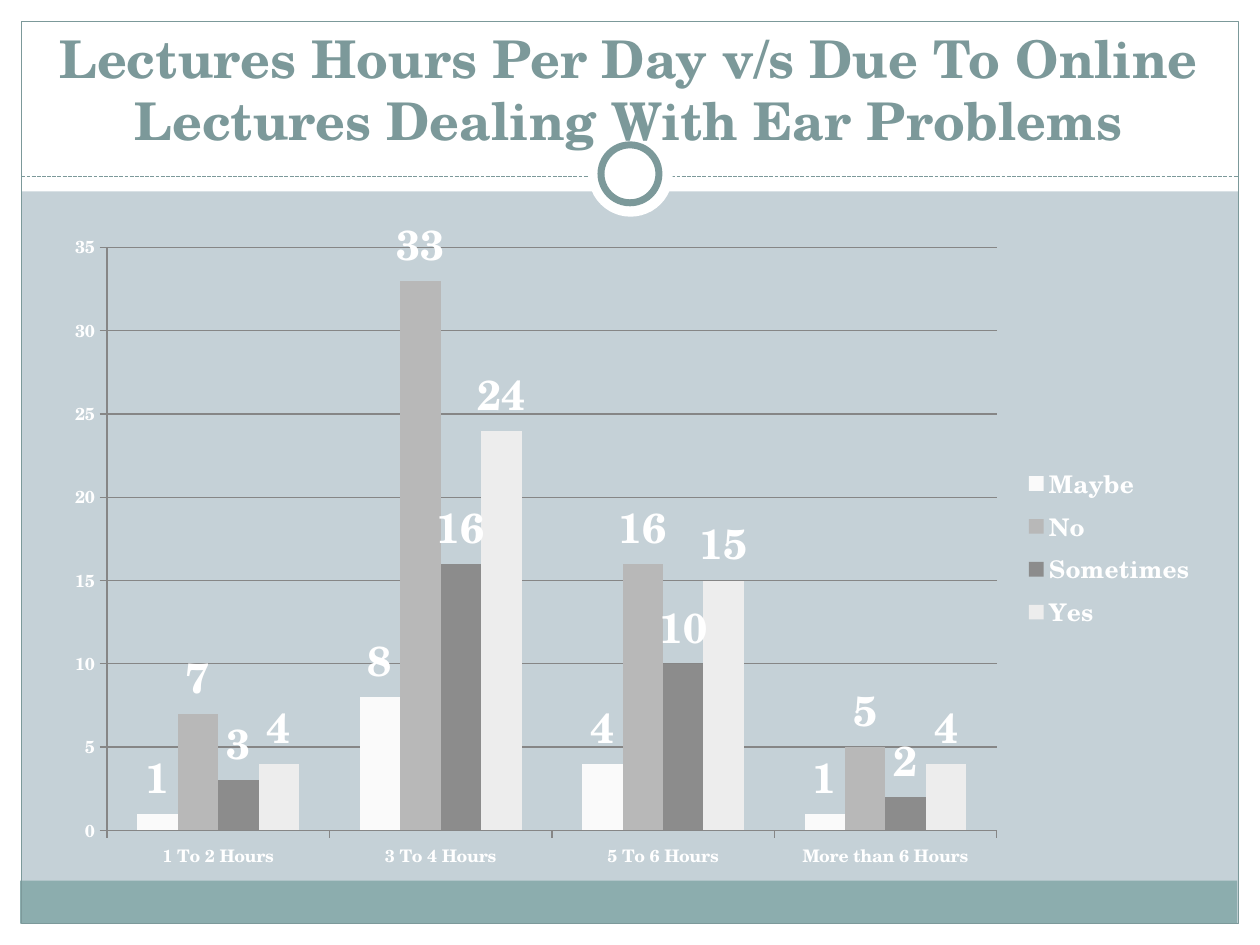
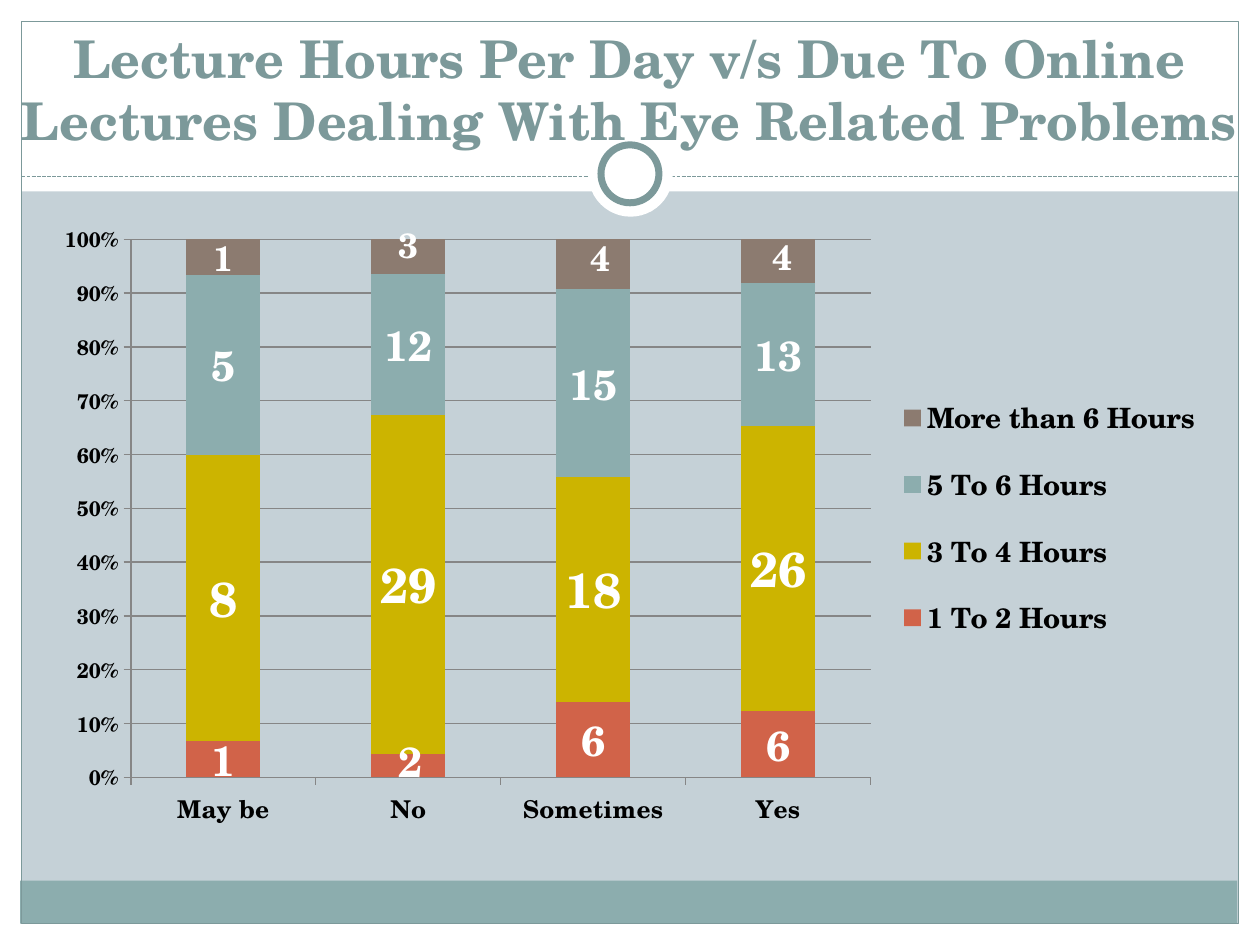
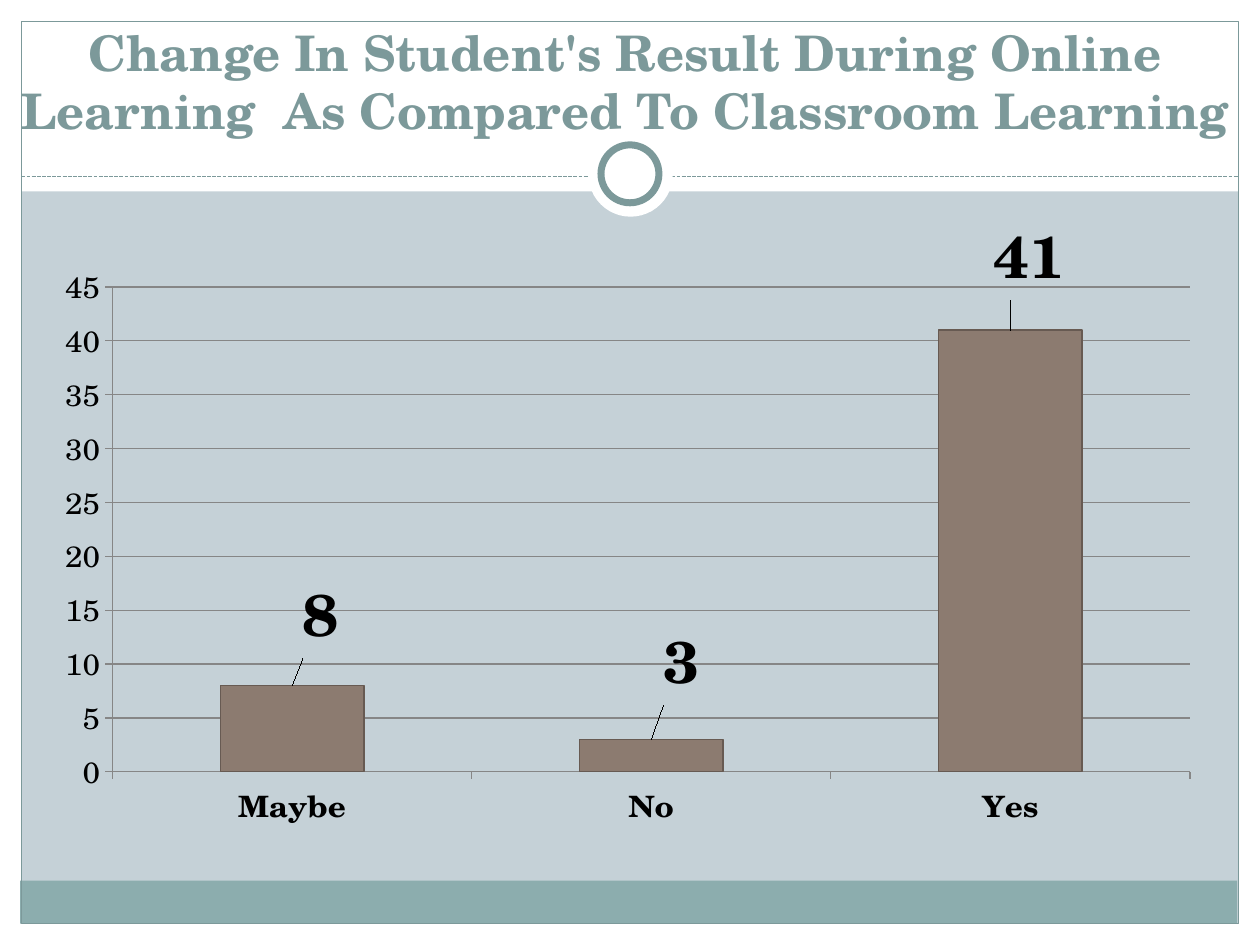
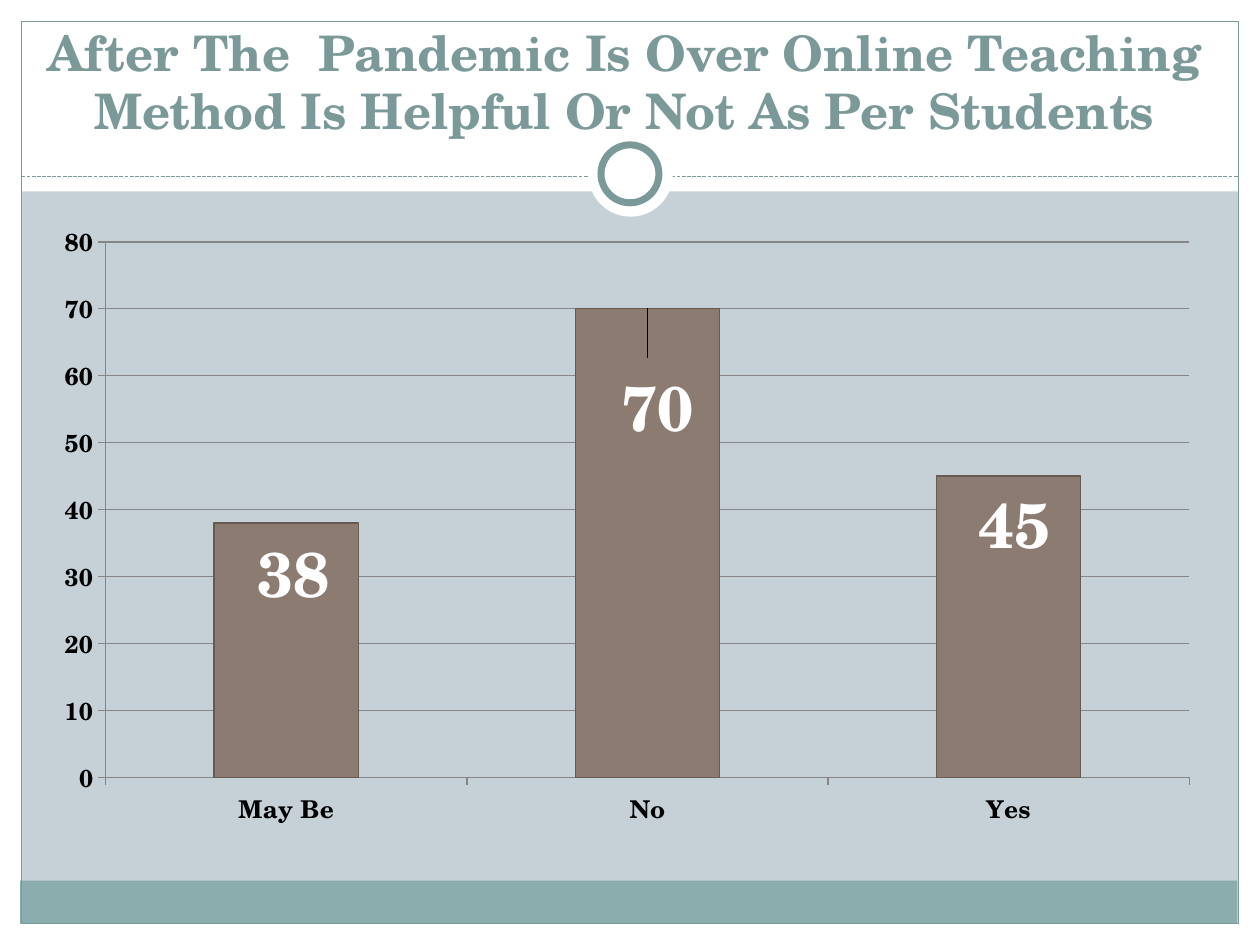
from lxml.etree import SubElement
from pptx import Presentation
from pptx.chart.data import CategoryChartData
from pptx.dml.color import RGBColor
from pptx.enum.chart import XL_CHART_TYPE, XL_LABEL_POSITION, XL_LEGEND_POSITION
from pptx.enum.chart import XL_TICK_MARK
from pptx.enum.dml import MSO_LINE
from pptx.enum.shapes import MSO_CONNECTOR, MSO_SHAPE
from pptx.enum.text import MSO_ANCHOR, MSO_AUTO_SIZE, PP_ALIGN
from pptx.oxml import parse_xml
from pptx.oxml.ns import nsdecls, qn
from pptx.util import Inches, Pt

# Shared style
FONT = "TeX Gyre Schola"
WHITE, BLACK, GRID = "FFFFFF", "000000", "868686"
BACK, DEEP, TEAL = "C5D1D7", "7C999A", "8CADAE"
RED, GOLD, BROWN, EDGE = "D16349", "CCB400", "8C7B70", "675A52"
OUT, MID = XL_LABEL_POSITION.OUTSIDE_END, XL_LABEL_POSITION.CENTER
WIDE = (0.33, 1.67, 9.3, 5)

# Frame parts: shape (None for a line), box, fill, line colour, line width
FRAME = [
    (MSO_SHAPE.RECTANGLE, (0, 7.33, 10, 0.17), WHITE, None, 0),
    (MSO_SHAPE.RECTANGLE, (0, 0, 10, 1.52), WHITE, None, 0),
    (MSO_SHAPE.RECTANGLE, (0, 0, 0.17, 7.5), WHITE, None, 0),
    (MSO_SHAPE.RECTANGLE, (9.83, 0, 0.17, 7.5), WHITE, None, 0),
    (MSO_SHAPE.RECTANGLE, (0.16, 6.99, 9.66, 0.34), TEAL, None, 0),
    (MSO_SHAPE.RECTANGLE, (0.17, 0.17, 9.66, 7.16), None, DEEP, 0.75),
    (None, (0.17, 1.4, 9.66, 0), None, DEEP, 0.75),
    (MSO_SHAPE.OVAL, (4.67, 1.05, 0.67, 0.67), WHITE, None, 0),
    (MSO_SHAPE.OVAL, (4.77, 1.15, 0.46, 0.46), WHITE, DEEP, 4),
]

# Slides. Axis text: size, bold. Series: name, values, fill, label size.
# "moves" maps (series, point) to a label shift in inches.
SLIDES = [
    dict(title="Lectures Hours Per Day v/s Due To Online Lectures "
               "Dealing With Ear Problems",
         head=(0.33, 0.42, 9.33, 0.83), size=29.7,
         kind=XL_CHART_TYPE.COLUMN_CLUSTERED,
         box=(0.42, 1.67, 9.17, 5.33), plot=(0.85, 1.94, 7.06, 4.65),
         ink=WHITE, tag=WHITE, spot=OUT, legend=14,
         cat=(10, True), val=(10, True), top=35, step=5,
         cats=["1 To 2 Hours", "3 To 4 Hours", "5 To 6 Hours",
               "More than 6 Hours"],
         series=[("Maybe", (1, 8, 4, 1), "FAFAFA", 24),
                 ("No", (7, 33, 16, 5), "B8B8B8", 24),
                 ("Sometimes", (3, 16, 10, 2), "8C8C8C", 24),
                 ("Yes", (4, 24, 15, 4), "EDEDED", 24)]),
    dict(title="Lecture Hours Per Day v/s Due To Online Lectures "
               "Dealing With Eye Related Problems",
         head=(0, 0.42, 10, 0.83), size=29.7,
         kind=XL_CHART_TYPE.COLUMN_STACKED_100,
         box=WIDE, plot=(1.04, 1.9, 5.87, 4.27),
         ink=BLACK, tag=WHITE, spot=MID, legend=16,
         key=(7.06, 2.96, 2.54, 2.3),
         cat=(14, True), val=(12, True), top=1, step=0.1, form="0%",
         cats=["May be", "No", "Sometimes", "Yes"],
         series=[("1 To 2 Hours", (1, 2, 6, 6), RED, 24),
                 ("3 To 4 Hours", (8, 29, 18, 26), GOLD, 28),
                 ("5 To 6 Hours", (5, 12, 15, 13), TEAL, 24),
                 ("More than 6 Hours", (1, 3, 4, 4), BROWN, 20)],
         moves={(0, 1): (0.02, -0.04), (3, 1): (0, -0.1),
                (3, 2): (0.06, -0.06), (3, 3): (0.04, -0.04)}),
    dict(title="Change In Student's Result During Online Learning  "
               "As Compared To Classroom Learning",
         head=(-0.25, 0.33, 10.42, 0.83), size=28,
         kind=XL_CHART_TYPE.COLUMN_CLUSTERED, box=WIDE,
         ink=BLACK, tag=BLACK, spot=OUT, edge=EDGE,
         cat=(18, True), val=(18, False), top=45, step=5,
         cats=["Maybe", "No", "Yes"],
         series=[("Series 1", (8, 3, 41), BROWN, 36)],
         moves={(0, 0): (0.23, -0.19), (0, 1): (0.24, -0.25),
                (0, 2): (0.15, -0.21)}),
    dict(title="After The  Pandemic Is Over Online Teaching Method "
               "Is Helpful Or Not As Per Students",
         head=(0, 0.33, 9.91, 0.83), size=28,
         kind=XL_CHART_TYPE.COLUMN_CLUSTERED,
         box=WIDE, plot=(0.84, 1.92, 8.6, 4.25),
         ink=BLACK, tag=WHITE, spot=OUT, edge=EDGE,
         cat=(14, True), val=(14, True), top=80, step=10,
         cats=["May Be", "No", "Yes"],
         series=[("Series 1", (38, 70, 45), BROWN, 36)],
         moves={(0, 0): (0.06, 0.82), (0, 1): (0.08, 1.2),
                (0, 2): (0.05, 0.8)}),
]


def paint(part, tone):
    """Give a fill a solid colour, or none."""
    if tone:
        part.solid()
        part.fore_color.rgb = RGBColor.from_string(tone)
    else:
        part.background()


def stroke(line, tone, width):
    paint(line.fill, tone)
    if tone:
        line.width = Pt(width)


def style(font, size, tone, bold=True):
    font.name, font.size, font.bold = FONT, Pt(size), bold
    font.color.rgb = RGBColor.from_string(tone)


def place(shape, box):
    shape.left, shape.top, shape.width, shape.height = map(Inches, box)


def set_frame(slide, layout):
    """Draw the frame and hand it to the layout, behind its text."""
    for at, (kind, box, fill, tone, width) in enumerate(FRAME):
        x, y, w, h = map(Inches, box)
        if kind is None:
            part = slide.shapes.add_connector(
                MSO_CONNECTOR.STRAIGHT, x, y, x + w, y + h)
            part.line.dash_style = MSO_LINE.SQUARE_DOT
            SubElement(part.element.spPr, qn("a:effectLst"))
        else:
            part = slide.shapes.add_shape(kind, x, y, w, h)
            part.shadow.inherit = False
            paint(part.fill, fill)
        stroke(part.line, tone, width)
        layout.shapes.element.insert(2 + at, part.element)


def set_title(slide, data):
    title = slide.shapes.title
    place(title, data["head"])
    text = title.text_frame
    text.word_wrap, text.auto_size = True, MSO_AUTO_SIZE.NONE
    text.vertical_anchor = MSO_ANCHOR.BOTTOM
    para = text.paragraphs[0]
    para.alignment = PP_ALIGN.CENTER
    run = para.add_run()
    run.text = data["title"]
    style(run.font, data["size"], DEEP)


def manual(inner):
    return parse_xml(f'<c:layout {nsdecls("c")}><c:manualLayout>{inner}'
                     '</c:manualLayout></c:layout>')


def set_area(owner, at, box, area, inner=""):
    """Fix a part of the chart at an area given in slide inches."""
    x, y, w, h = box
    left, top, wide, high = area
    parts = dict(x=(left - x) / w, y=(top - y) / h, w=wide / w, h=high / h)
    inner += '<c:xMode val="edge"/><c:yMode val="edge"/>'
    inner += "".join(f'<c:{k} val="{v:.4f}"/>' for k, v in parts.items())
    for old in owner.findall(qn("c:layout")):
        owner.remove(old)
    owner.insert(at, manual(inner))


def set_axes(chart, data):
    for axis, key in ((chart.category_axis, "cat"), (chart.value_axis, "val")):
        size, bold = data[key]
        style(axis.tick_labels.font, size, data["ink"], bold)
        axis.major_tick_mark = XL_TICK_MARK.OUTSIDE
        stroke(axis.format.line, GRID, 0.75)
    chart.category_axis.has_major_gridlines = False
    value = chart.value_axis
    value.minimum_scale, value.maximum_scale = 0, data["top"]
    value.major_unit = data["step"]
    value.has_major_gridlines = True
    stroke(value.major_gridlines.format.line, GRID, 0.75)
    if "form" in data:
        value.tick_labels.number_format = data["form"]
        value.tick_labels.number_format_is_linked = False


def drop_leads(tags):
    """Turn off the lines from moved labels to their bars."""
    tags.append(parse_xml(
        f'<c:extLst {nsdecls("c")}>'
        '<c:ext uri="{CE6537A1-D6FC-4f65-9D91-7224C49458BB}" xmlns:c15='
        '"http://schemas.microsoft.com/office/drawing/2012/chart">'
        '<c15:showLeaderLines val="0"/></c:ext></c:extLst>'))


def set_series(plot, data):
    wide, high = data["box"][2:]
    for row, (item, spec) in enumerate(zip(plot.series, data["series"])):
        size = spec[3]
        paint(item.format.fill, spec[2])
        stroke(item.format.line, data.get("edge"), 0.75)
        tags = item.data_labels
        tags.show_value, tags.position = True, data["spot"]
        style(tags.font, size, data["tag"])
        for (owner, point), (dx, dy) in data.get("moves", {}).items():
            if owner == row:
                tag = item.points[point].data_label
                style(tag.font, size, data["tag"])
                tag.position = data["spot"]
                label = tags._element.findall(qn("c:dLbl"))[-1]
                label.insert(1, manual(f'<c:x val="{dx / wide:.4f}"/>'
                                       f'<c:y val="{dy / high:.4f}"/>'))
        drop_leads(tags._element)


def add_chart(slide, data):
    table = CategoryChartData()
    table.categories = data["cats"]
    for name, vals, _, _ in data["series"]:
        table.add_series(name, vals)
    box = data["box"]
    chart = slide.shapes.add_chart(data["kind"], *map(Inches, box), table).chart
    style(chart.font, 10, data["ink"], False)
    chart.has_title = False
    chart.has_legend = "legend" in data
    if chart.has_legend:
        chart.legend.position = XL_LEGEND_POSITION.RIGHT
        chart.legend.include_in_layout = False
        style(chart.legend.font, data["legend"], data["ink"])
    plot = chart.plots[0]
    plot.gap_width, plot.vary_by_categories = 150, False
    set_axes(chart, data)
    set_series(plot, data)
    root = chart.element
    if "plot" in data:
        set_area(root.find(".//" + qn("c:plotArea")), 0, box, data["plot"],
                 '<c:layoutTarget val="inner"/>')
    if "key" in data:
        set_area(root.find(".//" + qn("c:legend")), 1, box, data["key"])


# Build
deck = Presentation()
deck.slide_width, deck.slide_height = Inches(10), Inches(7.5)
layout = deck.slide_layouts[5]
paint(layout.background.fill, BACK)
for number, data in enumerate(SLIDES):
    slide = deck.slides.add_slide(layout)
    if number == 0:
        set_frame(slide, layout)
    set_title(slide, data)
    add_chart(slide, data)
deck.save("out.pptx")
